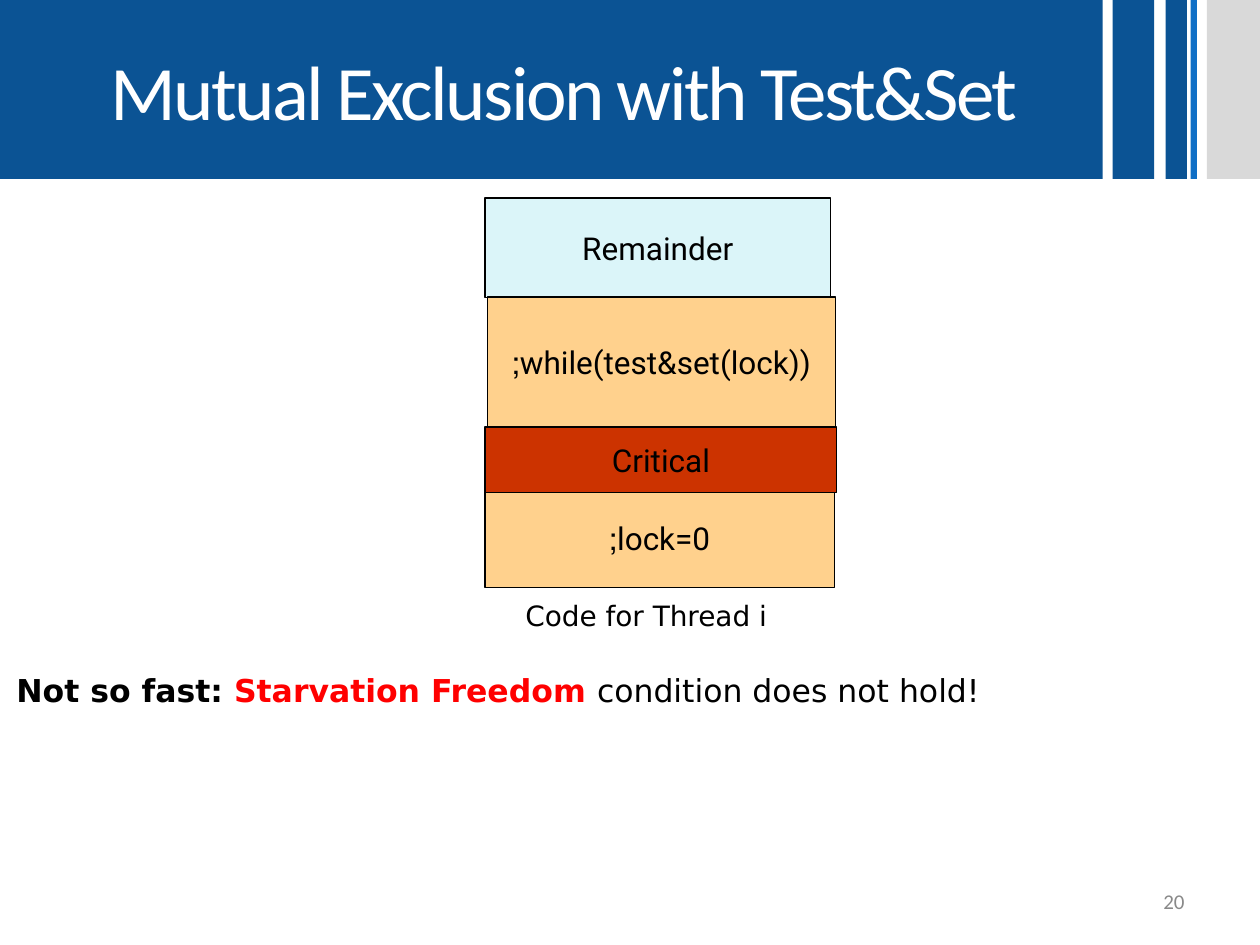
from dataclasses import dataclass

from pptx import Presentation
from pptx.dml.color import RGBColor
from pptx.enum.shapes import MSO_SHAPE as Preset
from pptx.enum.text import MSO_ANCHOR as Anchor, MSO_AUTO_SIZE as AutoSize, PP_ALIGN as Align
from pptx.util import Cm, Pt


@dataclass(frozen=True)
class Theme:
    navy: str = "0B5394"
    blue: str = "0F6FC6"
    gray: str = "D9D9D9"
    white: str = "FFFFFF"
    black: str = "000000"
    muted: str = "898989"
    alert: str = "FF0000"
    remainder: str = "DBF5F9"
    locking: str = "FFD18D"
    critical: str = "CC3300"
    heading_font: str = "Calibri"
    code_font: str = "Roboto"
    body_font: str = "DejaVu Sans"
    title_size: int = 44
    body_size: int = 18
    caption_size: int = 16
    number_size: int = 12


@dataclass(frozen=True)
class Box:
    left: float
    top: float
    width: float
    height: float

    def emu(self) -> tuple:
        return Cm(self.left), Cm(self.top), Cm(self.width), Cm(self.height)


@dataclass(frozen=True)
class Section:
    code: str
    box: Box
    fill: str


@dataclass(frozen=True)
class Words:
    text: str
    color: str
    bold: bool = False


THEME = Theme()
HEADER_HEIGHT = 3.61

# Header stripes: left, width, colour
STRIPES = [
    (22.43, 0.84, THEME.navy),
    (23.5, 0.43, THEME.navy),
    (24.0, 0.13, THEME.blue),
    (24.33, 1.07, THEME.gray),
]

# Sections of the thread's code, back to front
SECTIONS = [
    Section("Remainder", Box(9.78, 3.99, 6.96, 2.01), THEME.remainder),
    Section("lock=0;", Box(9.78, 9.83, 7.04, 2.01), THEME.locking),
    Section("Critical", Box(9.78, 8.61, 7.09, 1.32), THEME.critical),
    Section("while(test&set(lock));", Box(9.83, 5.99, 7.01, 2.62), THEME.locking),
]


def add_rect(slide, box: Box, fill: str, outlined: bool = False):
    rect = slide.shapes.add_shape(Preset.RECTANGLE, *box.emu())
    rect.shadow.inherit = False
    rect.fill.solid()
    rect.fill.fore_color.rgb = RGBColor.from_string(fill)
    if outlined:
        rect.line.color.rgb = RGBColor.from_string(THEME.black)
        rect.line.width = Pt(0.75)
    else:
        rect.line.fill.background()
    return rect


def write(shape, words: list[Words], font: str, size: int, align: Align,
          anchor: Anchor = Anchor.MIDDLE, wrap: bool = False):
    frame = shape.text_frame
    frame.word_wrap = wrap
    frame.vertical_anchor = anchor
    paragraph = frame.paragraphs[0]
    paragraph.alignment = align
    for part in words:
        run = paragraph.add_run()
        run.text = part.text
        run.font.name = font
        run.font.size = Pt(size)
        run.font.bold = part.bold
        run.font.color.rgb = RGBColor.from_string(part.color)
    return paragraph


def add_header(slide, title: str) -> None:
    for left, width, color in STRIPES:
        add_rect(slide, Box(left, 0, width, HEADER_HEIGHT), color)
    banner = add_rect(slide, Box(0, 0, 22.23, HEADER_HEIGHT), THEME.navy)
    banner.text_frame.margin_left = Cm(0.76)
    heading = write(banner, [Words(title, THEME.white)], THEME.heading_font,
                    THEME.title_size, Align.CENTER, wrap=True)
    # Tightened letter spacing, in hundredths of a point
    heading.runs[0].font._element.set("spc", "-150")


def add_section(slide, section: Section) -> None:
    rect = add_rect(slide, section.box, section.fill, outlined=True)
    line = write(rect, [Words(section.code, THEME.black)], THEME.code_font,
                 THEME.body_size, Align.CENTER)
    # Right-to-left paragraph
    line._p.get_or_add_pPr().set("rtl", "1")


def add_note(slide, box: Box, words: list[Words], size: int) -> None:
    note = slide.shapes.add_textbox(*box.emu())
    write(note, words, THEME.body_font, size, Align.LEFT, Anchor.TOP)
    note.text_frame.auto_size = AutoSize.SHAPE_TO_FIT_TEXT


def main() -> None:
    deck = Presentation()
    deck.slide_width, deck.slide_height = Cm(25.4), Cm(19.05)
    slide = deck.slides.add_slide(deck.slide_layouts[6])

    add_header(slide, "Mutual Exclusion with Test&Set")

    # Slide number
    number = slide.shapes.add_textbox(*Box(18.21, 17.65, 5.92, 1.02).emu())
    write(number, [Words("20", THEME.muted)], THEME.heading_font,
          THEME.number_size, Align.RIGHT, wrap=True)

    # Thread code and its caption
    for section in SECTIONS:
        add_section(slide, section)
    add_note(slide, Box(10.34, 11.94, 5.69, 0.94),
             [Words("Code for Thread i", THEME.black)], THEME.caption_size)

    # Conclusion
    add_note(slide, Box(0.08, 13.41, 20.02, 1.02), [
        Words("Not so fast: ", THEME.black, bold=True),
        Words("Starvation Freedom ", THEME.alert, bold=True),
        Words("condition does not hold!", THEME.black),
    ], THEME.body_size)

    deck.save("out.pptx")


if __name__ == "__main__":
    main()
